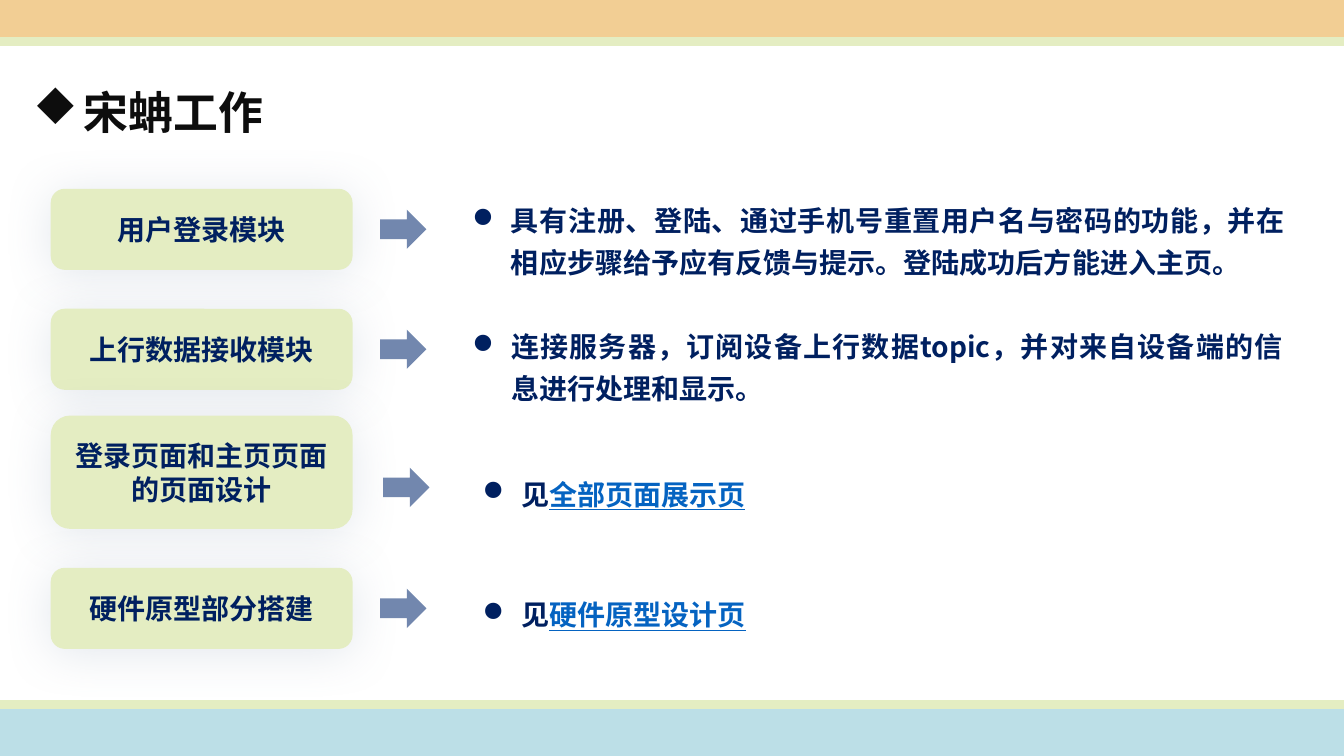
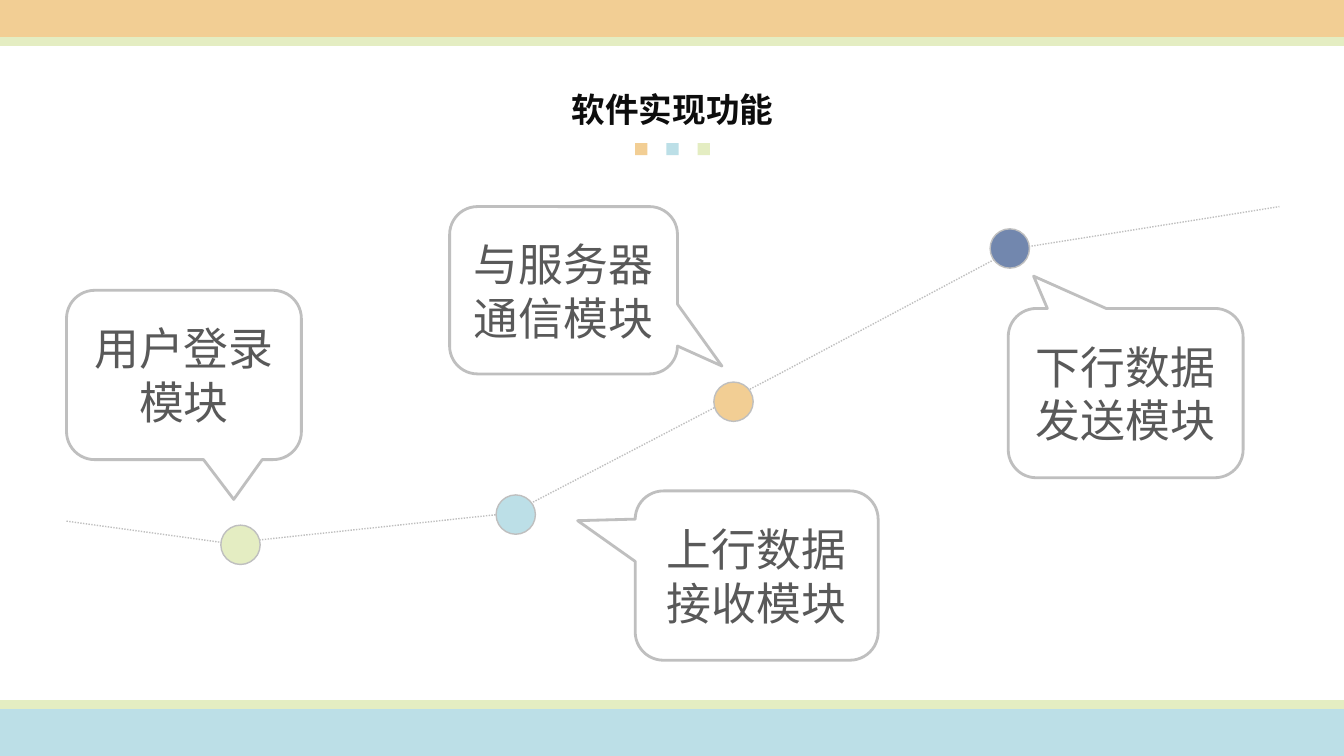
from pptx import Presentation
from pptx.dml.color import RGBColor
from pptx.enum.dml import MSO_LINE
from pptx.enum.shapes import MSO_SHAPE
from pptx.enum.text import MSO_ANCHOR, MSO_AUTO_SIZE, PP_ALIGN
from pptx.oxml.ns import qn
from pptx.util import Inches, Pt
from lxml.etree import SubElement

FONT = "Noto Sans CJK SC"
# Symbol-font codes of the bullets
DIAMOND, DISC = "u", "l"
COLORS = {
    "orange": "F2CE94", "green": "E4EDC2", "blue": "BCDFE7", "slate": "7287AE",
    "navy": "002060", "link": "0563C1", "title": "0D0D0D", "body": "595959",
    "gray": "BFBFBF", "shadow": "8497B0",
}


def add_text(paragraph, text, size, color, bold=False, bullet=None, indent=0.0, hanging=0.0):
    """Add one run, and a hanging bullet when one is given."""
    run = paragraph.add_run()
    run.text = text
    run.font.name = FONT
    run.font.size = Pt(size)
    run.font.bold = bold
    run.font.color.rgb = RGBColor.from_string(COLORS[color])
    SubElement(run.font._element, qn("a:ea"), typeface=FONT)
    if bullet:
        properties = paragraph._p.get_or_add_pPr()
        properties.set("marL", str(Inches(indent)))
        properties.set("indent", str(-Inches(hanging)))
        SubElement(properties, qn("a:buFont"), typeface="Wingdings", charset="2")
        SubElement(properties, qn("a:buChar"), char=bullet)
    return run


def add_box(slide, kind, place, fill=None, line=None, width=1):
    shape = slide.shapes.add_shape(kind, *[Inches(value) for value in place])
    shape.shadow.inherit = False
    if fill:
        shape.fill.solid()
        shape.fill.fore_color.rgb = RGBColor.from_string(COLORS[fill])
    else:
        shape.fill.background()
    if line:
        shape.line.color.rgb = RGBColor.from_string(COLORS[line])
        shape.line.width = Pt(width)
    else:
        shape.line.fill.background()
    return shape


presentation = Presentation()
presentation.slide_width = Inches(13.33)
presentation.slide_height = Inches(7.5)

# Shared parts: colour bands and titles
bands = [
    ("green", (-0.3, 6.95, 14.26, 0.46)),
    ("blue", (-0.3, 7.04, 14.26, 0.46)),
    ("green", (-0.1, -0.1, 13.66, 0.55)),
    ("orange", (-0.1, -0.02, 13.66, 0.38)),
]
titles = [
    ("宋蚺工作", 32, (0.23, 0.79, 3.37, 0.64), PP_ALIGN.LEFT, DIAMOND),
    ("软件实现功能", 24, (5.56, 0.83, 2.22, 0.5), PP_ALIGN.CENTER, None),
]
slides = []
for text, size, place, alignment, bullet in titles:
    slide = presentation.slides.add_slide(presentation.slide_layouts[5])
    slides.append(slide)
    for color, band_place in bands:
        add_box(slide, MSO_SHAPE.RECTANGLE, band_place, color, color)
    title = slide.shapes.title
    title.left, title.top, title.width, title.height = [Inches(value) for value in place]
    frame = title.text_frame
    frame.auto_size = MSO_AUTO_SIZE.NONE
    frame.word_wrap = bullet is not None
    frame.vertical_anchor = MSO_ANCHOR.TOP
    frame.paragraphs[0].alignment = alignment
    add_text(frame.paragraphs[0], text, size, "title", True, bullet, 0.5, 0.5)
work_slide, function_slide = slides

# Work slide: module labels with a soft shadow
modules = [
    ("用户登录模块", 1.88, 0.79),
    ("上行数据接收模块", 3.07, 0.79),
    ("登录页面和主页页面的页面设计", 4.13, 1.11),
    ("硬件原型部分搭建", 5.64, 0.79),
]
for text, top, height in modules:
    label = add_box(work_slide, MSO_SHAPE.ROUNDED_RECTANGLE, (0.51, top, 2.98, height), "green", "green")
    effects = label._element.spPr.find(qn("a:effectLst"))
    shadow = SubElement(effects, qn("a:outerShdw"), blurRad=str(Pt(35)), dist=str(Pt(3)),
                        dir="5400000", algn="t", rotWithShape="0")
    shadow_color = SubElement(shadow, qn("a:srgbClr"), val=COLORS["shadow"])
    SubElement(shadow_color, qn("a:alpha"), val="21000")
    label.text_frame.word_wrap = True
    paragraph = label.text_frame.paragraphs[0]
    paragraph.alignment = PP_ALIGN.CENTER
    add_text(paragraph, text, 20, "navy", True)

# Work slide: arrows
for left, top in [(3.77, 2.08), (3.77, 3.27), (3.8, 4.64), (3.77, 5.84)]:
    add_box(work_slide, MSO_SHAPE.RIGHT_ARROW, (left, top, 0.46, 0.39), "slate")

# Work slide: descriptions, some ending in an underlined reference
descriptions = [
    ((4.3, 1.89, 8.54, 0.9),
     "具有注册、登陆、通过手机号重置用户名与密码的功能，并在相应步骤给予应有反馈与提示。登陆成功后方能进入主页。", ""),
    ((4.3, 3.14, 8.52, 0.9),
     "连接服务器，订阅设备上行数据topic，并对来自设备端的信息进行处理和显示。", ""),
    ((4.4, 4.6, 3.43, 0.48), "见", "全部页面展示页"),
    ((4.4, 5.8, 3.85, 0.48), "见", "硬件原型设计页"),
]
for place, text, reference in descriptions:
    box = work_slide.shapes.add_textbox(*[Inches(value) for value in place])
    box.text_frame.word_wrap = True
    paragraph = box.text_frame.paragraphs[0]
    paragraph.alignment = PP_ALIGN.JUSTIFY
    paragraph.line_spacing = Pt(30)
    add_text(paragraph, text, 20, "navy", True, DISC, 0.67, 0.38)
    if reference:
        add_text(paragraph, reference, 20, "link", True).font.underline = True

# Function slide: squares under the title
for index, color in enumerate(["orange", "blue", "green"]):
    add_box(function_slide, MSO_SHAPE.RECTANGLE, (6.3 + 0.31 * index, 1.42, 0.12, 0.12), color)

# Function slide: dotted route with its stops
route = [(0.66, 5.17), (2.26, 5.39), (5.08, 5.09), (7.71, 3.72), (10.06, 2.47), (12.69, 2.05)]
points = [(Inches(x), Inches(y)) for x, y in route]
builder = function_slide.shapes.build_freeform(*points[0])
builder.add_line_segments(points[1:], close=False)
route_line = builder.convert_to_shape()
route_line.shadow.inherit = False
route_line.fill.background()
route_line.line.color.rgb = RGBColor.from_string(COLORS["gray"])
route_line.line.width = Pt(1)
route_line.line.dash_style = MSO_LINE.ROUND_DOT

stops = [("green", 2.19, 5.21), ("blue", 4.92, 4.91), ("orange", 7.08, 3.79), ("slate", 9.82, 2.27)]
for color, left, top in stops:
    add_box(function_slide, MSO_SHAPE.OVAL, (left, top, 0.39, 0.39), color, "gray")

# Function slide: callouts, with the tip as a share of the size
callouts = [
    ((0.66, 2.88, 2.33, 1.68), (0.212, 0.735), ("用户登录", "模块")),
    ((6.3, 4.87, 2.41, 1.68), (-0.737, -0.324), ("上行数据", "接收模块")),
    ((10, 3.06, 2.33, 1.68), (-0.392, -0.691), ("下行数据", "发送模块")),
    ((4.46, 2.05, 2.26, 1.66), (0.695, 0.453), ("与服务器", "通信模块")),
]
for place, tip, lines in callouts:
    callout = add_box(function_slide, MSO_SHAPE.ROUNDED_RECTANGULAR_CALLOUT, place, None, "gray", 2)
    callout.adjustments[0], callout.adjustments[1] = tip
    frame = callout.text_frame
    frame.word_wrap = True
    for index, text in enumerate(lines):
        paragraph = frame.add_paragraph() if index else frame.paragraphs[0]
        paragraph.alignment = PP_ALIGN.CENTER
        add_text(paragraph, text, 32, "body")

presentation.save("out.pptx")
